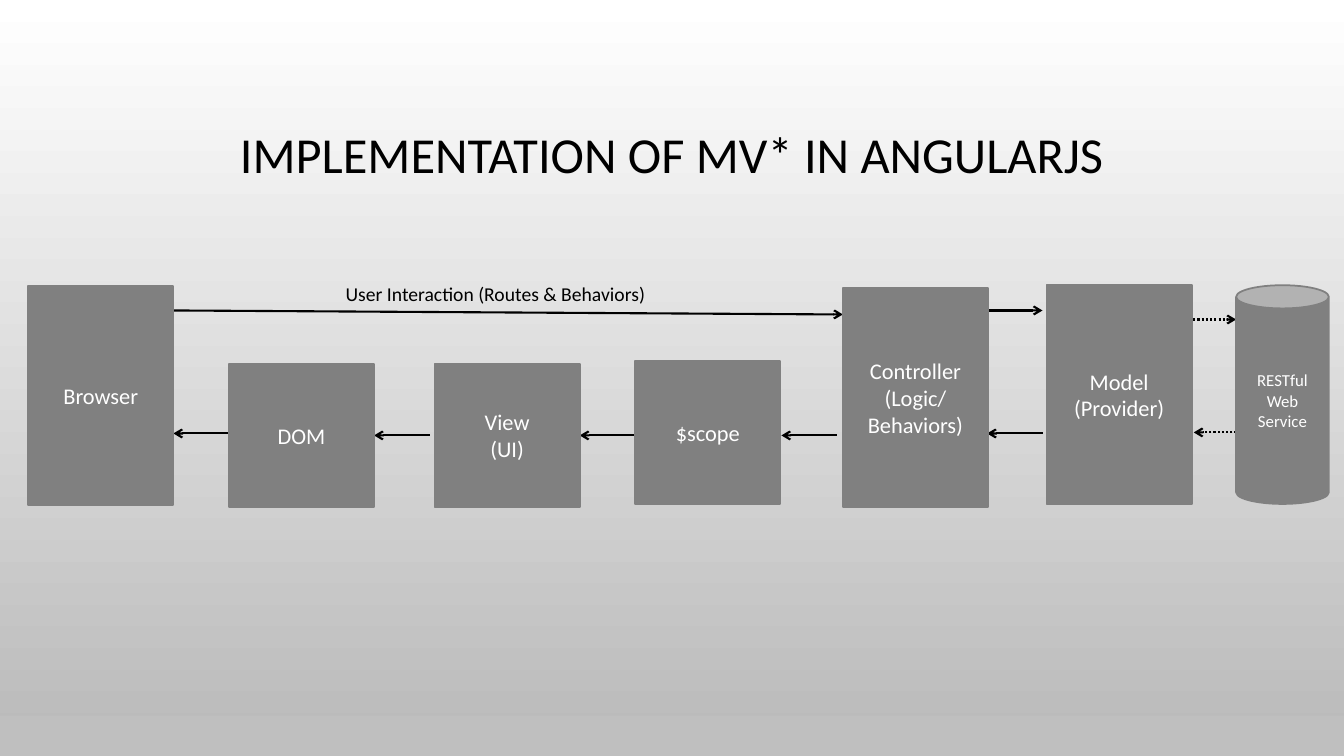
from collections import namedtuple

from lxml import etree
from pptx import Presentation
from pptx.dml.color import RGBColor
from pptx.enum import dml, shapes, text
from pptx.oxml.ns import qn
from pptx.util import Inches, Pt

COLORS = {"top": "FFFFFF", "bottom": "B9B9B9", "footer": "BFBFBF",
          "node": "808080", "light": "FFFFFF", "dark": "000000"}
WIDTH, HEIGHT = 13.33, 7.5
NODE_WIDTH, TALL, SHORT, GAP = 1.44, 2.17, 1.42, 0.55

Box = namedtuple("Box", "left top width height")
RECT, CAN = shapes.MSO_SHAPE.RECTANGLE, shapes.MSO_SHAPE.CAN

NODES = [
    (["Browser"], 0, 0.01, NODE_WIDTH, TALL, RECT, 16),
    (["DOM"], 1.99, 0.78, NODE_WIDTH, SHORT, RECT, 16),
    (["View", "(UI)"], 4.03, 0.78, NODE_WIDTH, SHORT, RECT, 16),
    (["$scope"], 6.02, 0.75, NODE_WIDTH, SHORT, RECT, 16),
    (["Controller", "(Logic/ Behaviors)"], 8.08, 0.03, NODE_WIDTH, TALL, RECT, 16),
    (["Model", "(Provider)"], 10.1, 0, NODE_WIDTH, TALL, RECT, 16),
    (["RESTful Web Service"], 11.98, 0, 0.92, TALL, CAN, 12),
]
REQUESTS = [(9.51, 0.25, False), (11.43, 0.34, True)]
RESPONSES = [(1.44, 1.47, False), (3.43, 1.49, False), (5.47, 1.49, False),
             (7.47, 1.49, False), (9.51, 1.47, False), (11.56, 1.46, True)]


def color(name):
    """Return the named colour."""
    return RGBColor.from_string(COLORS[name])


def write(shape, lines, size, ink, align=text.PP_ALIGN.CENTER,
          anchor=text.MSO_ANCHOR.MIDDLE, spacing=None):
    """Fill a shape with one formatted paragraph per line."""
    frame = shape.text_frame
    frame.word_wrap = True
    frame.vertical_anchor = anchor
    frame.text = "\n".join(lines)
    for para in frame.paragraphs:
        para.alignment = align
        para.line_spacing = spacing
        for span in para.runs:
            span.font.name = "Calibri"
            span.font.size = Pt(size)
            span.font.color.rgb = color(ink)


def add_block(page, box, fill, kind=RECT, outline=None):
    """Add a flat filled shape."""
    block = page.shapes.add_shape(kind, *map(Inches, box))
    block.shadow.inherit = False
    block.fill.solid()
    block.fill.fore_color.rgb = color(fill)
    if outline:
        block.line.color.rgb = color(outline)
        block.line.width = Pt(1.25)
    else:
        block.line.fill.background()
    return block


def add_label(page, box, words, **style):
    """Add a wrapped text box."""
    write(page.shapes.add_textbox(*map(Inches, box)), [words], **style)


def add_arrow(page, start, end, dotted=False):
    """Draw an arrow that points at its end."""
    arrow = page.shapes.add_connector(shapes.MSO_CONNECTOR.STRAIGHT,
                                      *map(Inches, start + end))
    arrow.line.color.rgb = color("dark")
    arrow.line.width = Pt(1.5)
    if dotted:
        arrow.line.dash_style = dml.MSO_LINE.ROUND_DOT
    etree.SubElement(arrow.line._get_or_add_ln(), qn("a:tailEnd"), type="arrow")
    etree.SubElement(arrow._element.spPr, qn("a:effectLst"))


def draw_backdrop(page, box):
    """Paint the gradient and the footer band."""
    fill = page.background.fill
    fill.gradient()
    fill.gradient_angle = 270
    for stop, position, name in zip(fill.gradient_stops, (0, 1), ("top", "bottom")):
        stop.position = position
        stop.color.rgb = color(name)
    band = 0.4
    add_block(page, Box(box.left, box.top + box.height - band, box.width, band), "footer")


def draw_arrows(page, box):
    """Draw the request arrows rightwards and the response arrows leftwards."""
    add_arrow(page, (box.left + NODE_WIDTH, box.top + 0.25),
              (box.left + 8.08, box.top + 0.29))
    for flows, forward in ((REQUESTS, True), (RESPONSES, False)):
        for across, down, dotted in flows:
            near = (box.left + across, box.top + down)
            far = (near[0] + GAP, near[1])
            start, end = (near, far) if forward else (far, near)
            add_arrow(page, start, end, dotted)


def draw_nodes(page, box):
    """Place the components of the pattern from browser to service."""
    for lines, across, down, width, height, kind, size in NODES:
        place = Box(box.left + across, box.top + down, width, height)
        write(add_block(page, place, "node", kind, "node"), lines, size, "light")


def draw_diagram(page, box):
    """Draw arrows, components and the interaction label."""
    draw_arrows(page, box)
    draw_nodes(page, box)
    add_label(page, Box(box.left + 3.05, box.top - 0.08, 4, 0.34),
              "User Interaction (Routes & Behaviors)", size=14, ink="dark",
              align=text.PP_ALIGN.LEFT, anchor=text.MSO_ANCHOR.TOP)


def main():
    """Build and save the deck."""
    deck = Presentation()
    deck.slide_width, deck.slide_height = Inches(WIDTH), Inches(HEIGHT)
    page = deck.slides.add_slide(deck.slide_layouts[6])
    draw_backdrop(page, Box(0, 0, WIDTH, HEIGHT))
    add_label(page, Box(1, 0.68, 11.33, 1.75), "IMPLEMENTATION OF MV* IN ANGULARJS",
              size=36, ink="dark", spacing=0.9)
    draw_diagram(page, Box(0.28, 2.83, 12.9, 2.2))
    deck.save("out.pptx")


if __name__ == "__main__":
    main()
